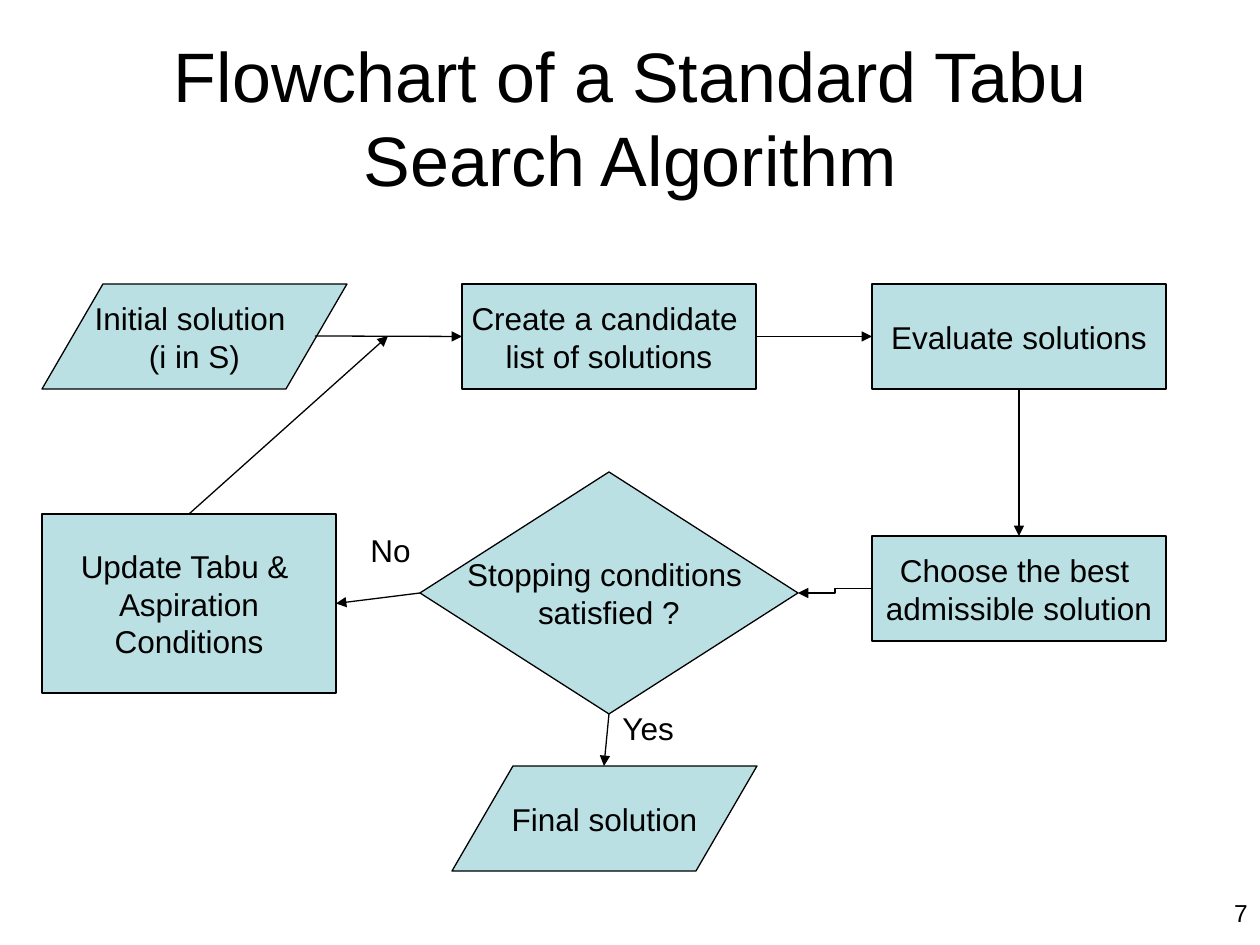
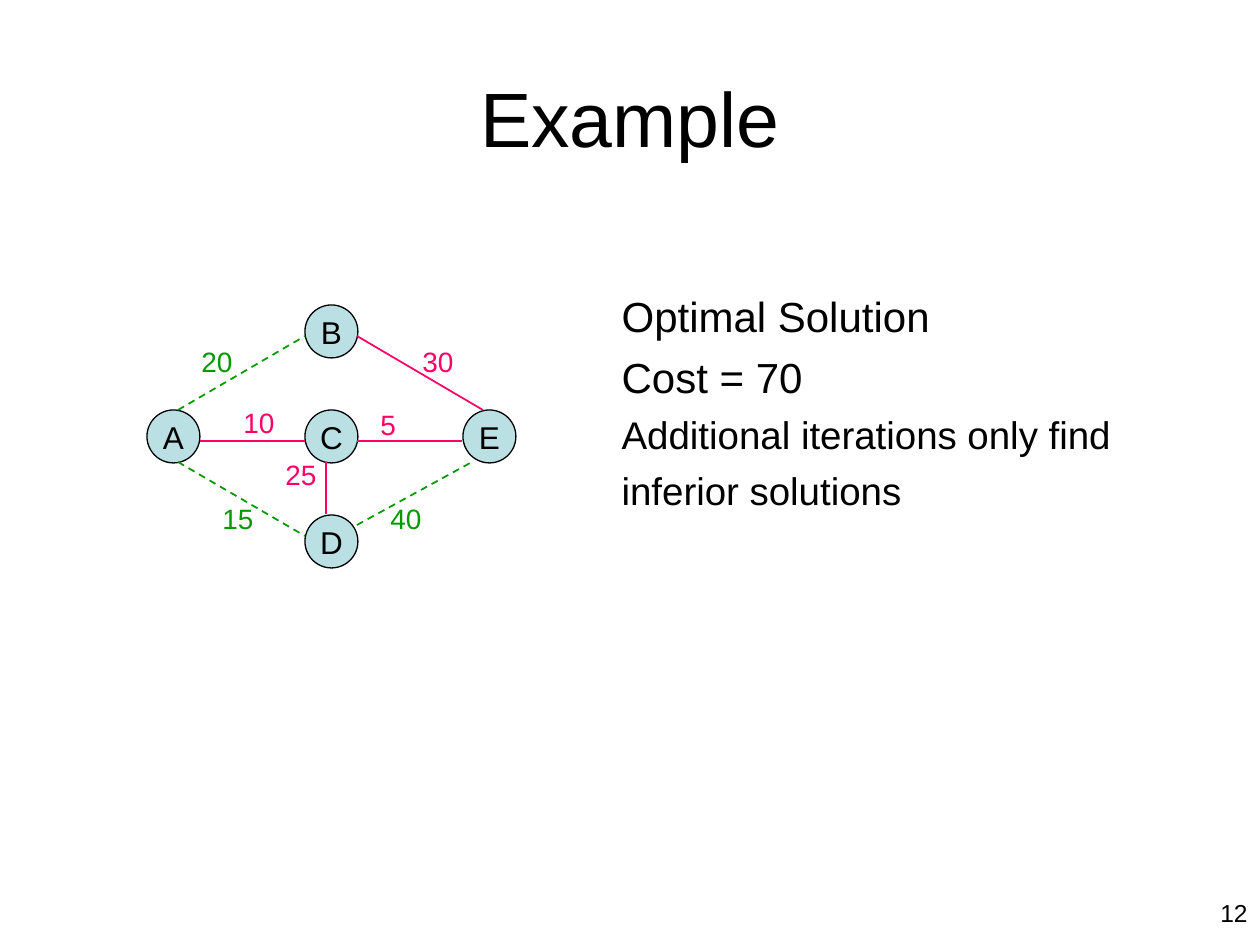
"""Build the tabu search flowchart and the spanning tree example slides."""
from dataclasses import dataclass
from typing import Optional, Union

from lxml import etree
from pptx import Presentation
from pptx import util as u
from pptx.dml.color import RGBColor
from pptx.enum import dml, shapes, text
from pptx.oxml import ns

PX_PER_INCH = 126
FONT = "Arial"
BLACK, PALE_BLUE = "000000", "BBE0E3"
PINK, GREEN = "FF0066", "009900"
TITLE_ONLY, TITLE_AND_BODY = 5, 1
TOP, LEFT, BOTTOM, RIGHT = range(4)
SHAPE = shapes.MSO_SHAPE
ALIGN = text.PP_ALIGN
CIRCLE = 53
Point = tuple[int, int]


@dataclass(frozen=True)
class Step:
    """A flowchart box with its lines of text."""
    kind: SHAPE
    left: int
    top: int
    width: int
    height: int
    lines: tuple[str, ...]

    def side(self, index: int) -> Point:
        """Return the middle of one side."""
        centre_x, centre_y = self.left + self.width // 2, self.top + self.height // 2
        return ((centre_x, self.top), (self.left, centre_y),
                (centre_x, self.top + self.height),
                (self.left + self.width, centre_y))[index]


@dataclass(frozen=True)
class Joint:
    """One side of a named step."""
    step: str
    side: int


@dataclass(frozen=True)
class Arrow:
    """An arrow between joints or free points."""
    start: Union[Joint, Point]
    end: Union[Joint, Point]
    kind: shapes.MSO_CONNECTOR = shapes.MSO_CONNECTOR.STRAIGHT


@dataclass(frozen=True)
class Label:
    """A short text box."""
    words: str
    left: int
    top: int
    width: int
    height: int


@dataclass(frozen=True)
class Edge:
    """A weighted graph edge and the place of its weight."""
    start: Point
    end: Point
    weight: str
    weight_at: Point
    in_tree: bool


STEPS = {
    "initial": Step(SHAPE.FLOWCHART_DATA, 42, 284, 305, 105,
                    ("Initial solution ", "(i in S)")),
    "create": Step(SHAPE.RECTANGLE, 462, 284, 294, 105,
                   ("Create a candidate ", "list of solutions")),
    "evaluate": Step(SHAPE.RECTANGLE, 872, 284, 294, 105, ("Evaluate solutions",)),
    "choose": Step(SHAPE.RECTANGLE, 872, 536, 294, 105,
                   ("Choose the best ", "admissible solution")),
    "stopping": Step(SHAPE.DIAMOND, 420, 472, 378, 242,
                     ("Stopping conditions ", "satisfied ?")),
    "update": Step(SHAPE.RECTANGLE, 42, 514, 294, 179,
                   ("Update Tabu & ", "Aspiration", "Conditions")),
    "final": Step(SHAPE.FLOWCHART_DATA, 452, 766, 305, 105, ("Final solution",)),
}
ARROWS = (
    Arrow((315, 336), Joint("create", LEFT)),
    Arrow(Joint("create", RIGHT), Joint("evaluate", LEFT)),
    Arrow(Joint("evaluate", BOTTOM), Joint("choose", TOP)),
    Arrow(Joint("choose", LEFT), Joint("stopping", RIGHT), shapes.MSO_CONNECTOR.ELBOW),
    Arrow(Joint("stopping", BOTTOM), Joint("final", TOP)),
    Arrow(Joint("stopping", LEFT), Joint("update", RIGHT)),
    Arrow(Joint("update", TOP), (388, 336)),
)
ANSWERS = (Label("No", 358, 525, 66, 50), Label("Yes", 610, 703, 79, 50))

NODES = {"A": (0, 1), "B": (1, 0), "C": (1, 1), "D": (1, 2), "E": (2, 1)}
EDGES = (
    Edge((200, 441), (305, 441), "10", (231, 399), True),
    Edge((357, 441), (462, 441), "5", (368, 401), True),
    Edge((357, 525), (472, 462), "40", (378, 495), False),
    Edge((178, 462), (305, 536), "15", (210, 495), False),
    Edge((357, 336), (483, 410), "30", (410, 338), True),
    Edge((178, 410), (305, 336), "20", (189, 338), False),
    Edge((326, 462), (326, 514), "25", (273, 451), True),
)
CONCLUSIONS = (("Optimal Solution", 24), ("Cost = 70", 24),
               ("Additional iterations only find", 22), ("inferior solutions", 22))


def px(length: int) -> u.Emu:
    """Turn pixels into EMU."""
    return u.Emu(round(length * 914400 / PX_PER_INCH))


def colour(value: str) -> RGBColor:
    """Turn a hex string into a colour."""
    return RGBColor.from_string(value)


def place(shape, left: int, top: int, width: int, height: int) -> None:
    """Move and size a shape."""
    shape.left, shape.top, shape.width, shape.height = map(px, (left, top, width, height))


def write(paragraph, words: str, size: int, ink: str = BLACK, align=ALIGN.LEFT) -> None:
    """Add one formatted run to a paragraph."""
    paragraph.alignment = align
    run = paragraph.add_run()
    run.text = words
    run.font.name, run.font.size = FONT, u.Pt(size)
    run.font.color.rgb = colour(ink)


def paragraphs(frame, count: int) -> list:
    """Return the given number of paragraphs of an empty frame."""
    return [frame.paragraphs[0]] + [frame.add_paragraph() for _ in range(count - 1)]


def add_label(slide, label: Label, size: int, ink: str = BLACK,
              align=ALIGN.LEFT, wrap: bool = True) -> None:
    """Draw a text box."""
    box = slide.shapes.add_textbox(*map(px, (label.left, label.top,
                                             label.width, label.height)))
    box.text_frame.word_wrap = wrap
    write(box.text_frame.paragraphs[0], label.words, size, ink, align)


def add_slide(presentation, layout: int, title: str, size: int, number: str):
    """Add a slide with its title and page number."""
    slide = presentation.slides.add_slide(presentation.slide_layouts[layout])
    heading = slide.shapes.title
    place(heading, 63, 38, 1134, 158)
    frame = heading.text_frame
    frame.auto_size = text.MSO_AUTO_SIZE.NONE
    frame.vertical_anchor = text.MSO_ANCHOR.MIDDLE
    write(frame.paragraphs[0], title, size, align=ALIGN.CENTER)
    add_label(slide, Label(number, 1113, 892, 147, 34), 14, align=ALIGN.RIGHT)
    return slide


def add_box(slide, step: Step):
    """Draw a filled shape with centred text."""
    shape = slide.shapes.add_shape(step.kind, *map(px, (step.left, step.top,
                                                       step.width, step.height)))
    shape.shadow.inherit = False
    shape.fill.solid()
    shape.fill.fore_color.rgb = colour(PALE_BLUE)
    shape.line.color.rgb = colour(BLACK)
    shape.line.width = u.Pt(0.75)
    frame = shape.text_frame
    frame.word_wrap = False
    frame.vertical_anchor = text.MSO_ANCHOR.MIDDLE
    for paragraph, line in zip(paragraphs(frame, len(step.lines)), step.lines):
        write(paragraph, line, 18, align=ALIGN.CENTER)
    return shape


def add_line(slide, start: Point, end: Point, ink: str, width: float,
             kind=shapes.MSO_CONNECTOR.STRAIGHT):
    """Draw a connector without a shadow."""
    connector = slide.shapes.add_connector(kind, *map(px, start + end))
    connector.line.color.rgb = colour(ink)
    connector.line.width = u.Pt(width)
    etree.SubElement(connector._element.spPr, ns.qn("a:effectLst"))
    return connector


def joined_shape(end: Union[Joint, Point], boxes: dict) -> Optional[object]:
    """Return the box an arrow end is fixed to, if any."""
    if isinstance(end, Joint) and STEPS[end.step].kind != SHAPE.FLOWCHART_DATA:
        return boxes[end.step]
    return None


def add_arrow(slide, arrow: Arrow, boxes: dict) -> None:
    """Draw an arrow and join it to its boxes."""
    start, end = (STEPS[tip.step].side(tip.side) if isinstance(tip, Joint) else tip
                  for tip in (arrow.start, arrow.end))
    connector = add_line(slide, start, end, BLACK, 0.75, arrow.kind)
    for tip, join in ((arrow.start, connector.begin_connect),
                      (arrow.end, connector.end_connect)):
        box = joined_shape(tip, boxes)
        if box is not None:
            join(box, tip.side)
    line = connector.line._get_or_add_ln()
    etree.SubElement(line, ns.qn("a:tailEnd"), type="triangle")


def build_flowchart(presentation) -> None:
    """Build the flowchart slide."""
    slide = add_slide(presentation, TITLE_ONLY,
                      "Flowchart of a Standard Tabu Search Algorithm", 40, "7")
    boxes = {name: add_box(slide, step) for name, step in STEPS.items()}
    for arrow in ARROWS:
        add_arrow(slide, arrow, boxes)
    for answer in ANSWERS:
        add_label(slide, answer, 18, wrap=False)


def add_conclusions(slide) -> None:
    """Fill the body with unbulleted lines."""
    body = slide.placeholders[1]
    place(body, 609, 284, 557, 325)
    frame = body.text_frame
    frame.auto_size = text.MSO_AUTO_SIZE.NONE
    lines = paragraphs(frame, len(CONCLUSIONS))
    for index, (paragraph, (words, size)) in enumerate(zip(lines, CONCLUSIONS)):
        properties = paragraph._p.get_or_add_pPr()
        properties.set("marL", str(px(48)))
        properties.set("indent", str(-px(48)))
        etree.SubElement(properties, ns.qn("a:buNone"))
        paragraph.space_before = u.Pt(size / 4 if index else 0)
        write(paragraph, words, size)


def build_example(presentation) -> None:
    """Build the graph example slide."""
    slide = add_slide(presentation, TITLE_AND_BODY, "Example", 44, "12")
    add_conclusions(slide)
    for name, (column, row) in NODES.items():
        add_box(slide, Step(SHAPE.OVAL, 147 + 158 * column, 305 + 105 * row,
                            CIRCLE, CIRCLE, (name,)))
    for edge in EDGES:
        ink = PINK if edge.in_tree else GREEN
        connector = add_line(slide, edge.start, edge.end, ink, 1)
        if not edge.in_tree:
            connector.line.dash_style = dml.MSO_LINE.DASH
        add_label(slide, Label(edge.weight, *edge.weight_at, 74, 46), 16, ink)


def main() -> None:
    """Build and save the presentation."""
    presentation = Presentation()
    presentation.slide_width, presentation.slide_height = px(1260), px(945)
    build_flowchart(presentation)
    build_example(presentation)
    presentation.save("out.pptx")


if __name__ == "__main__":
    main()
